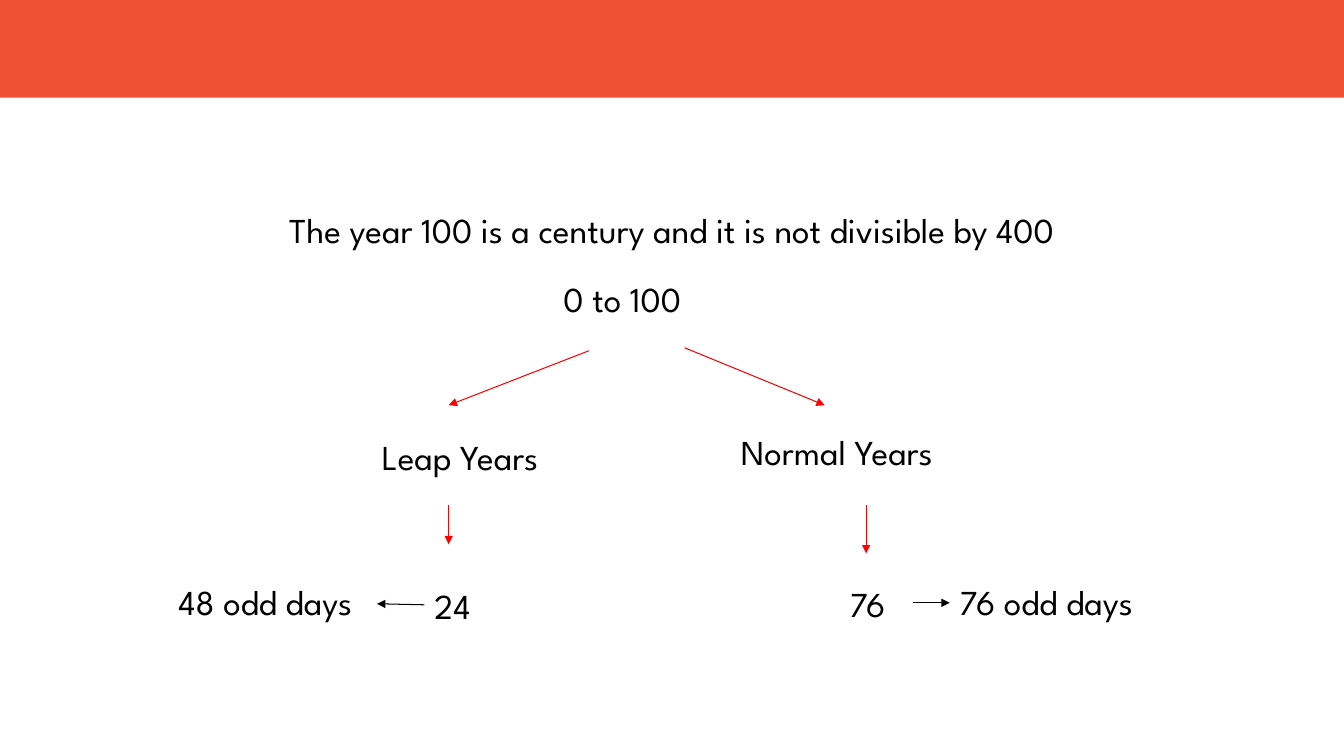
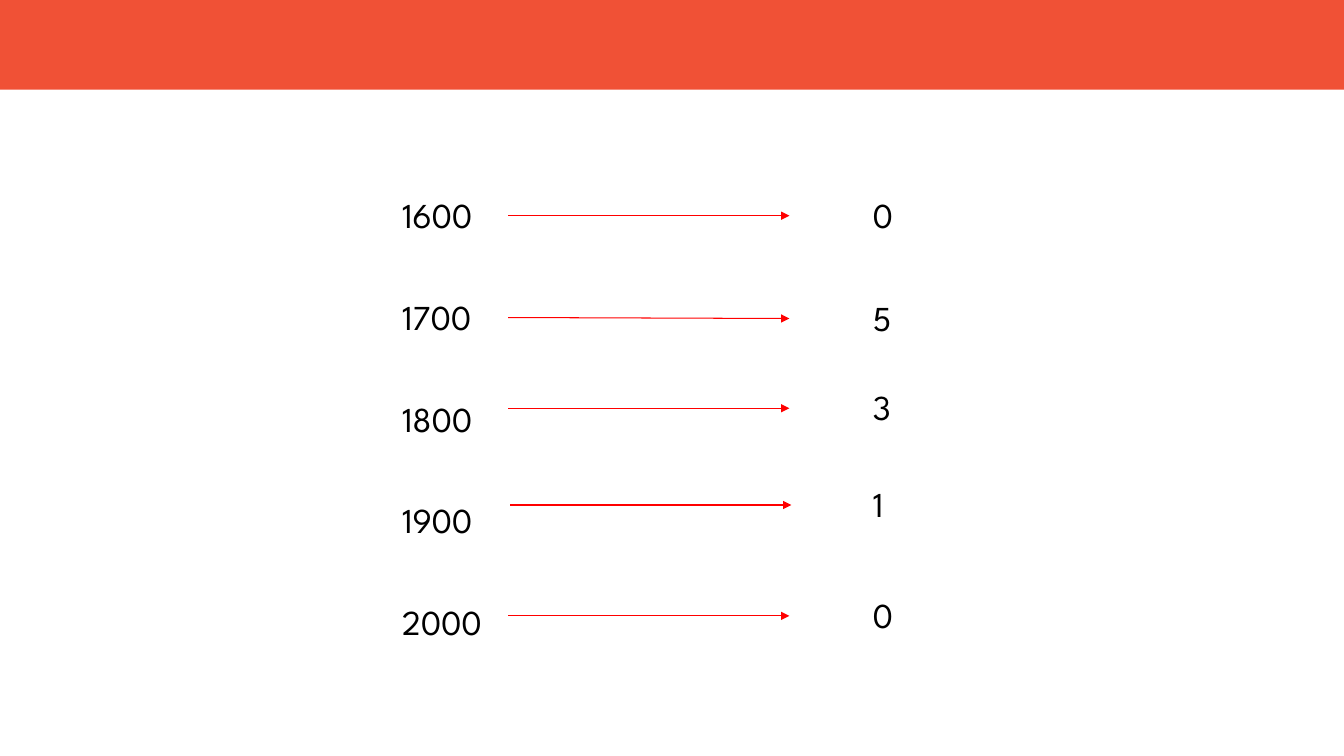
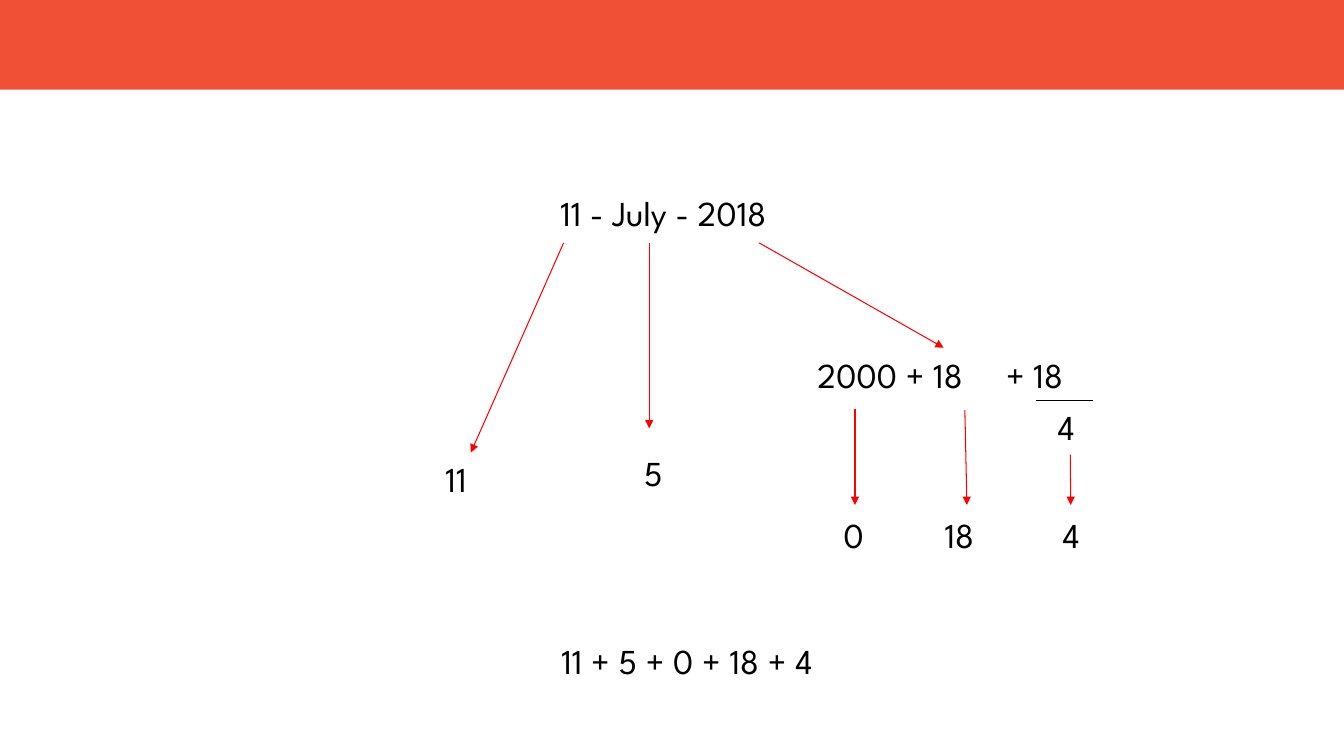
from dataclasses import dataclass

from pptx import Presentation
from pptx.dml.color import RGBColor
from pptx.enum import shapes, text
from pptx.oxml import ns, xmlchemy as xml
from pptx.shapes.autoshape import Shape
from pptx.shapes.connector import Connector
from pptx.slide import Slide
from pptx.util import Inches, Pt

ORANGE = RGBColor(0xF0, 0x51, 0x36)
RED = RGBColor(0xFF, 0x00, 0x00)
BLACK = RGBColor(0x00, 0x00, 0x00)
FONT = "League Spartan"
WIDE, HIGH = 13.33, 7.5
ROW = 0.54


@dataclass(frozen=True)
class Label:
    words: str
    left: float
    top: float
    width: float


@dataclass(frozen=True)
class Line:
    x1: float
    y1: float
    x2: float
    y2: float
    color: RGBColor = RED
    arrow: bool = True


@dataclass(frozen=True)
class Match:
    """A year's odd days, with the place of the arrow between them."""
    year: str
    days: str
    left: float
    mid: float
    join: bool = False


def write(slide: Slide, label: Label, *, size: float = 25, height: float = ROW,
          color: RGBColor = BLACK, align: text.PP_ALIGN = text.PP_ALIGN.LEFT,
          wrap: bool = True) -> Shape:
    box = slide.shapes.add_textbox(Inches(label.left), Inches(label.top),
                                   Inches(label.width), Inches(height))
    box.text_frame.word_wrap = wrap
    para = box.text_frame.paragraphs[0]
    para.alignment = align
    run = para.add_run()
    run.text = label.words
    run.font.name = FONT
    run.font.size = Pt(size)
    run.font.color.rgb = color
    return box


def draw(slide: Slide, line: Line) -> Connector:
    link = slide.shapes.add_connector(
        shapes.MSO_CONNECTOR.STRAIGHT, Inches(line.x1), Inches(line.y1),
        Inches(line.x2), Inches(line.y2))
    link.line.color.rgb = line.color
    link.line.width = Pt(0.75)
    if line.arrow:
        tip = xml.OxmlElement("a:tailEnd")
        tip.set("type", "triangle")
        link.line._get_or_add_ln().append(tip)
    props = link._element.find(ns.qn("p:spPr"))
    props.append(xml.OxmlElement("a:effectLst"))
    return link


def start(deck: Presentation, band: float = 0.89) -> Slide:
    """Add a blank slide with the band across its top."""
    slide = deck.slides.add_slide(deck.slide_layouts[6])
    bar = slide.shapes.add_shape(shapes.MSO_SHAPE.RECTANGLE, 0, 0,
                                 Inches(WIDE), Inches(band))
    bar.shadow.inherit = False
    bar.fill.solid()
    bar.fill.fore_color.rgb = ORANGE
    bar.line.fill.background()
    return slide


def century(deck: Presentation) -> None:
    slide = start(deck, band=0.97)
    write(slide, Label("The year 100 is a century and it is not divisible by 400",
                       1.74, 2.02, 9.84), align=text.PP_ALIGN.CENTER)
    for label in (
        Label("0 to 100", 5.49, 2.7, 2.05),
        Label("Leap Years", 3.69, 4.27, 3.56),
        Label("Normal Years", 7.25, 4.22, 3.56),
        Label("76", 8.33, 5.73, 0.86),
        Label("48 odd days", 1.67, 5.71, 2.18),
    ):
        write(slide, label)
    leap = write(slide, Label("24", 4.21, 5.75, 0.86), height=0.5)
    odd = write(slide, Label("76 odd days", 9.42, 5.71, 2.34))
    for line in (
        Line(5.84, 3.48, 4.45, 4.02),
        Line(6.79, 3.45, 8.18, 4.02),
        Line(4.45, 5.01, 4.45, 5.4),
        Line(8.59, 5.01, 8.59, 5.49),
    ):
        draw(slide, line)
    draw(slide, Line(4.21, 6, 3.74, 5.99, BLACK)).begin_connect(leap, 1)
    draw(slide, Line(9.06, 5.98, 9.42, 5.98, BLACK)).end_connect(odd, 1)


def codes(deck: Presentation) -> None:
    slide = start(deck)
    matches = (
        Match("1600", "0", 5.04, 2.14, join=True),
        Match("1700", "5", 5.04, 3.16, join=True),
        Match("1800", "3", 5.04, 4.05),
        Match("1900", "1", 5.06, 5.01),
        Match("2000", "0", 5.04, 6.11),
    )
    for i, match in enumerate(matches):
        year = write(slide, Label(match.year, 3.89, 1.87 + 1.01 * i, 1.15))
        write(slide, Label(match.days, 8.56, match.mid - ROW / 2, 1.03))
        link = draw(slide, Line(match.left, match.mid, match.left + 2.79, match.mid))
        if match.join:
            link.begin_connect(year, 3)


def date(deck: Presentation) -> None:
    slide = start(deck)
    write(slide, Label("11 - July - 2018", 2.27, 1.85, 8.62),
          align=text.PP_ALIGN.CENTER)
    for label in (
        Label("2000 + 18", 8.01, 3.46, 2.37),
        Label("+ 18", 9.88, 3.46, 2.37),
        Label("0", 8.27, 5.05, 0.67),
        Label("4", 10.44, 5.05, 0.36),
        Label("5", 6.29, 4.43, 0.74),
        Label("11", 4.32, 4.49, 1.06),
        Label("11 + 5 + 0 + 18 + 4", 5.47, 6.3, 4.43),
    ):
        write(slide, label)
    write(slide, Label("18", 9.27, 5.05, 0.62), wrap=False)
    under = write(slide, Label("4", 10.39, 3.97, 0.45))
    for line in (
        Line(7.53, 2.41, 9.36, 3.45),
        Line(6.44, 2.41, 6.44, 4.25),
        Line(5.59, 2.41, 4.67, 4.49),
        Line(10.28, 3.97, 10.84, 3.97, BLACK, arrow=False),
        Line(8.48, 4.06, 8.48, 5.01),
        Line(9.57, 4.07, 9.59, 5.01),
    ):
        draw(slide, line)
    draw(slide, Line(10.62, 4.51, 10.62, 5.01)).begin_connect(under, 2)


def main() -> None:
    deck = Presentation()
    deck.slide_width, deck.slide_height = Inches(WIDE), Inches(HIGH)
    for build in (century, codes, date):
        build(deck)
    deck.save("out.pptx")


if __name__ == "__main__":
    main()
